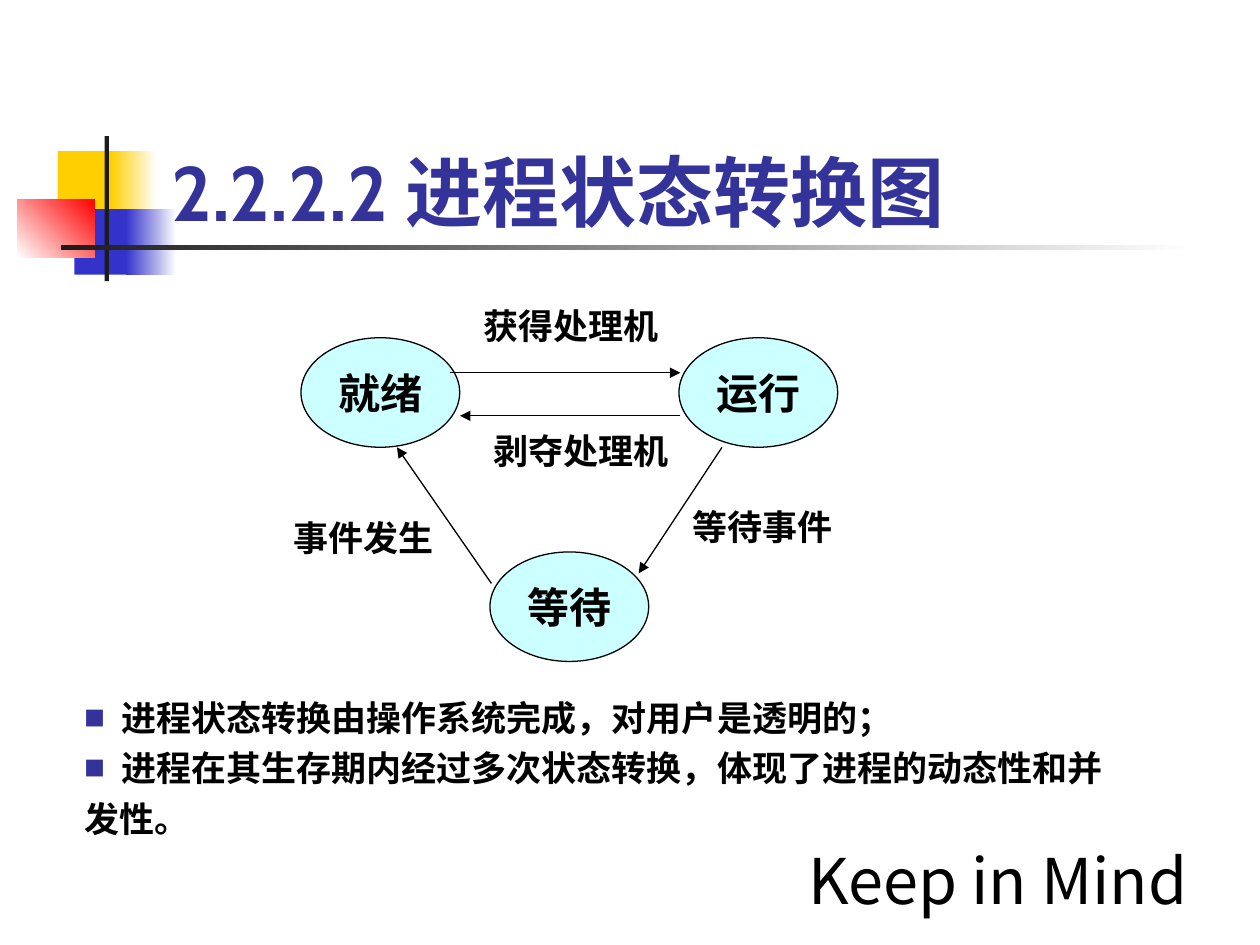
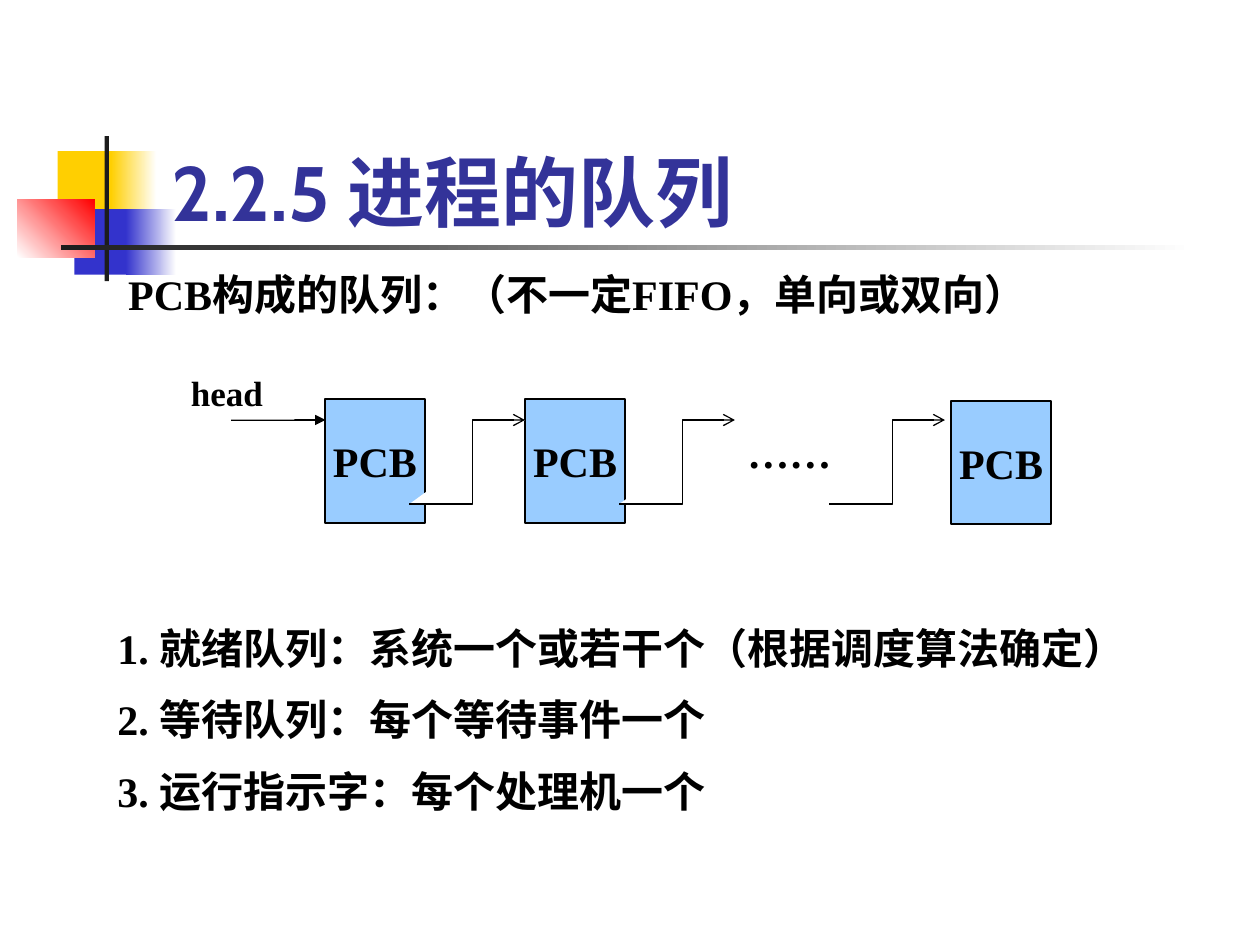
from typing import NamedTuple, Optional

from lxml import etree
from pptx import Presentation
from pptx.dml.color import RGBColor
from pptx.enum.shapes import MSO_CONNECTOR, MSO_SHAPE
from pptx.enum.text import MSO_ANCHOR, MSO_AUTO_SIZE, PP_ALIGN
from pptx.oxml.ns import qn
from pptx.util import Pt

RECT, OVAL = MSO_SHAPE.RECTANGLE, MSO_SHAPE.OVAL
STRAIGHT = MSO_CONNECTOR.STRAIGHT
LEFT, CENTER = PP_ALIGN.LEFT, PP_ALIGN.CENTER
TOP, MIDDLE, BOTTOM = MSO_ANCHOR.TOP, MSO_ANCHOR.MIDDLE, MSO_ANCHOR.BOTTOM
NO_AUTOFIT = MSO_AUTO_SIZE.NONE

BLACK, WHITE, INK = "000000", "FFFFFF", "1C1C1C"
YELLOW, BLUE, RED = "FFCF01", "3333CC", "FF0000"
TITLE_BLUE, STATE_FILL, PCB_FILL = "333399", "CCFFFF", "99CCFF"
SERIF, SANS, TITLE_FONT = "Times New Roman", "Noto Sans CJK SC", "Cabin"


class Box(NamedTuple):
    x: float
    y: float
    w: float
    h: float

    def lengths(self) -> list:
        return [Pt(v) for v in self]


class Band(NamedTuple):
    box: Box
    start: str
    end: Optional[str] = None
    angle: int = 0


class Label(NamedTuple):
    text: str
    box: Box


class Arrow(NamedTuple):
    x1: float
    y1: float
    x2: float
    y2: float


class Style(NamedTuple):
    size: float
    font: str = SERIF
    color: str = BLACK
    bold: bool = True


BANDS = [
    Band(Box(33, 86.4, 34.6, 37.4), YELLOW),
    Band(Box(63.4, 86.4, 26, 37.4), YELLOW, WHITE),
    Band(Box(42.5, 119.5, 33, 37.4), BLUE),
    Band(Box(72, 119.5, 28.8, 37.4), BLUE, WHITE),
    Band(Box(10, 113.8, 44, 33.2), WHITE, RED, 45),
    Band(Box(59.8, 77.8, 2.4, 82.8), INK),
    Band(Box(34.6, 140.2, 648, 2.4), INK, WHITE),
]
TITLE_BOX = Box(90.7, 49, 613.4, 90)
STATES = [
    Label("就绪", Box(172, 193, 90.7, 62.6)),
    Label("等待", Box(280, 315.4, 90.7, 62.6)),
    Label("运行", Box(388, 193, 90.7, 62.6)),
]
TRANSITIONS = [
    Arrow(257, 213, 388.8, 213),
    Arrow(412.6, 255.6, 365, 327.6),
    Arrow(280.8, 333.4, 226.8, 255.6),
    Arrow(388.8, 237.6, 262.8, 237.6),
]
EVENTS = [
    Label("获得处理机", Box(269.3, 170.6, 120.2, 31)),
    Label("剥夺处理机", Box(275, 241.9, 120.2, 31)),
    Label("等待事件", Box(388.8, 285.1, 95.8, 31)),
    Label("事件发生", Box(160.6, 291.6, 95.8, 31)),
]
REMARKS = [
    "进程状态转换由操作系统完成，对用户是透明的；",
    "进程在其生存期内经过多次状态转换，体现了进程的动态性和并发性。",
]
PCB_CORNERS = [(185.8, 228.2), (300.2, 228.2), (543.6, 229)]
QUEUES = [
    "1. 就绪队列：系统一个或若干个（根据调度算法确定）",
    "2. 等待队列：每个等待事件一个",
    "3. 运行指示字：每个处理机一个",
]


def rgb(value: str) -> RGBColor:
    return RGBColor.from_string(value)


def add_run(p, text: str, style: Style) -> None:
    r = p.add_run()
    r.text = text
    r.font.size = Pt(style.size)
    r.font.bold = style.bold
    r.font.color.rgb = rgb(style.color)
    r.font.name = style.font
    latin = r._r.rPr.find(qn("a:latin"))
    east_asian = etree.Element(qn("a:ea"), typeface=SANS)
    latin.addnext(east_asian)


def write(sp, text: str, style: Style, align=LEFT, anchor=TOP, wrap: bool = True) -> None:
    tf = sp.text_frame
    tf.word_wrap = wrap
    tf.vertical_anchor = anchor
    tf.auto_size = NO_AUTOFIT
    p = tf.paragraphs[0]
    p.alignment = align
    add_run(p, text, style)


def add_shape(s, kind, box: Box, fill: str, line: float = 0):
    sp = s.shapes.add_shape(kind, *box.lengths())
    sp.shadow.inherit = False
    sp.fill.solid()
    sp.fill.fore_color.rgb = rgb(fill)
    outline(sp, line)
    return sp


def outline(sp, width: float) -> None:
    if width:
        sp.line.color.rgb = rgb(BLACK)
        sp.line.width = Pt(width)
    else:
        sp.line.fill.background()


def add_label(s, label: Label, style: Style, wrap: bool = True, align=LEFT) -> None:
    sp = s.shapes.add_textbox(*label.box.lengths())
    write(sp, label.text, style, align, wrap=wrap)


def set_arrowhead(sp, kind: str) -> None:
    etree.SubElement(sp._element.spPr.find(qn("a:ln")), qn("a:tailEnd"), type=kind)


def add_arrow(s, arrow: Arrow) -> None:
    sp = s.shapes.add_connector(STRAIGHT, *[Pt(v) for v in arrow])
    outline(sp, 0.75)
    set_arrowhead(sp, "triangle")
    etree.SubElement(sp._element.spPr, qn("a:effectLst"))


def add_link(s, x: float) -> None:
    low, high = Pt(288), Pt(240)
    builder = s.shapes.build_freeform(Pt(x), low, scale=1.0)
    bend, end = Pt(x + 36), Pt(x + 66)
    builder.add_line_segments([(bend, low), (bend, high), (end, high)], close=False)
    sp = builder.convert_to_shape()
    sp.shadow.inherit = False
    sp.fill.solid()
    sp.fill.fore_color.rgb = rgb(WHITE)
    outline(sp, 0.75)
    set_arrowhead(sp, "arrow")


def place(sp, box: Box) -> None:
    sp.left, sp.top, sp.width, sp.height = box.lengths()


def add_band(s, band: Band):
    sp = add_shape(s, RECT, band.box, band.start)
    if band.end:
        sp.fill.gradient()
        sp.fill.gradient_angle = band.angle
        for stop, color in zip(sp.fill.gradient_stops, (band.start, band.end)):
            stop.color.rgb = rgb(color)
    return sp


def decorate_layout(layout, s) -> None:
    place(layout.placeholders[0], TITLE_BOX)
    for i, band in enumerate(BANDS):
        el = add_band(s, band)._element
        el.nvSpPr.cNvPr.set("id", str(100 + i))
        layout.shapes._spTree.insert(2 + i, el)


def add_title(s, text: str) -> None:
    write(s.shapes.title, text, Style(44, TITLE_FONT, TITLE_BLUE), anchor=BOTTOM)


def add_square_bullet(pPr) -> None:
    color = etree.SubElement(pPr, qn("a:buClr"))
    etree.SubElement(color, qn("a:srgbClr"), val=TITLE_BLUE)
    etree.SubElement(pPr, qn("a:buSzPct"), val="60000")
    etree.SubElement(pPr, qn("a:buFont"), typeface=SANS)
    etree.SubElement(pPr, qn("a:buChar"), char="■")
    tabs = etree.SubElement(pPr, qn("a:tabLst"))
    etree.SubElement(tabs, qn("a:tab"), pos=str(Pt(21)), algn="l")


def fill_body(s, box: Box, items: list, style: Style, gap: float = 0,
              spacing: float = 1.0, bullets: bool = False) -> None:
    body = s.placeholders[1]
    place(body, box)
    tf = body.text_frame
    tf.word_wrap = True
    tf.auto_size = NO_AUTOFIT
    if bullets:
        tf.margin_left = tf.margin_top = tf.margin_right = tf.margin_bottom = 0
    for i, item in enumerate(items):
        p = tf.add_paragraph() if i else tf.paragraphs[0]
        pPr = p._p.get_or_add_pPr()
        pPr.set("marL", "0")
        pPr.set("indent", "0")
        if bullets:
            add_square_bullet(pPr)
        else:
            etree.SubElement(pPr, qn("a:buNone"))
        p.line_spacing = spacing
        p.space_before = Pt(gap if i else 0)
        add_run(p, "\t" + item if bullets else item, style)


def build_states(s) -> None:
    add_title(s, "2.2.2.2 进程状态转换图")
    for state in STATES:
        sp = add_shape(s, OVAL, state.box, STATE_FILL, 0.75)
        write(sp, state.text, Style(24), CENTER, MIDDLE, False)
    for arrow in TRANSITIONS:
        add_arrow(s, arrow)
    for event in EVENTS:
        add_label(s, event, Style(20))
    motto = Label("Keep in Mind", Box(462.2, 477.4, 216, 48.2))
    add_label(s, motto, Style(36, SANS, bold=False), False, CENTER)
    fill_body(s, Box(48.2, 393.1, 592.6, 86.4), REMARKS, Style(20, SANS),
              spacing=1.2, bullets=True)


def build_queue(s) -> None:
    add_title(s, "2.2.5 进程的队列")
    for x, y in PCB_CORNERS:
        sp = add_shape(s, RECT, Box(x, y, 56.9, 70.6), PCB_FILL, 1.25)
        write(sp, "PCB", Style(24), CENTER, MIDDLE, False)
    add_arrow(s, Arrow(132, 240, 186, 240))
    for i in range(3):
        add_link(s, 234 + 120 * i)
    dots = Label("……", Box(420, 240, 78, 36))
    head = Label("head", Box(102, 208.8, 66.2, 31))
    for label, size in ((dots, 24), (head, 20)):
        sp = add_shape(s, RECT, label.box, WHITE)
        write(sp, label.text, Style(size))
    fill_body(s, Box(59.8, 352.1, 594, 122.4), QUEUES, Style(24), gap=12)
    caption = Label("PCB构成的队列：（不一定FIFO，单向或双向）", Box(66.2, 149.8, 560.2, 36))
    add_label(s, caption, Style(24))


def main() -> None:
    prs = Presentation()
    prs.slide_width, prs.slide_height = Pt(720), Pt(540)
    layout = prs.slide_layouts[1]
    states, queue = [prs.slides.add_slide(layout) for _ in range(2)]
    decorate_layout(layout, states)
    build_states(states)
    build_queue(queue)
    prs.save("out.pptx")


if __name__ == "__main__":
    main()
